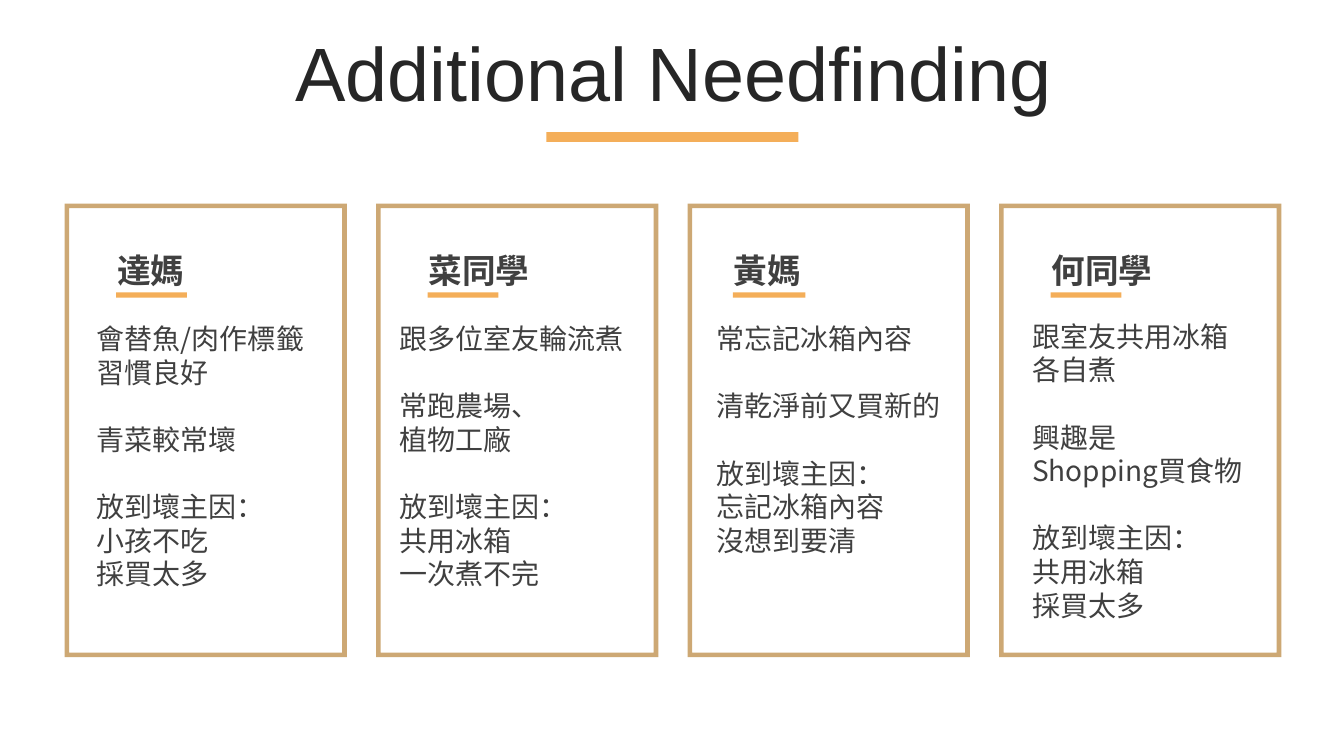
from dataclasses import dataclass

from lxml.etree import SubElement
from pptx import Presentation
from pptx.dml.color import RGBColor
from pptx.enum.shapes import MSO_SHAPE
from pptx.enum.text import MSO_ANCHOR, PP_ALIGN
from pptx.oxml.ns import qn
from pptx.util import Cm, Pt


@dataclass(frozen=True)
class Theme:
    title_font: str = "Arial"
    card_font: str = "Noto Sans CJK SC"
    title_color: str = "262626"
    text_color: str = "404040"
    accent: str = "F4AE59"
    border: str = "CDA874"
    title_size: int = 54
    name_size: int = 24
    body_size: int = 20
    body_line: int = 24


class SlideBuilder:
    def __init__(self, prs, theme):
        self.theme = theme
        self.s = prs.slides.add_slide(prs.slide_layouts[6])

    def shape(self, kind, box, color):
        sp = self.s.shapes.add_shape(kind, *map(Cm, box))
        sp.shadow.inherit = False
        sp.fill.solid()
        sp.fill.fore_color.rgb = RGBColor.from_string(color)
        sp.line.fill.background()
        return sp

    def bar(self, *box):
        return self.shape(MSO_SHAPE.RECTANGLE, box, self.theme.accent)

    def frame(self, *box):
        sp = self.shape(MSO_SHAPE.FRAME, box, self.theme.border)
        sp.adjustments[0] = 0.016
        return sp

    def text(self, box, groups, font, color, anchor=MSO_ANCHOR.TOP, **para_format):
        """Write groups of lines, one blank line's height apart."""
        tf = self.s.shapes.add_textbox(*map(Cm, box)).text_frame
        tf.word_wrap = True
        tf.vertical_anchor = anchor
        p = None
        for g, lines in enumerate(groups):
            for i, line in enumerate(lines):
                p = tf.add_paragraph() if p is not None else tf.paragraphs[0]
                for key, value in para_format.items():
                    setattr(p, key, value)
                if g and i == 0:
                    p.space_before = Pt(self.theme.body_line)
                r = p.add_run()
                r.text = line
                for key, value in font.items():
                    setattr(r.font, key, value)
                r.font.color.rgb = RGBColor.from_string(color)
                SubElement(r.font._element, qn("a:ea"), typeface=font["name"])

    def title(self, text):
        t = self.theme
        self.text((0.89, 0.94, 32.16, 2.01), [[text]],
                  {"name": t.title_font, "size": Pt(t.title_size)},
                  t.title_color, MSO_ANCHOR.MIDDLE,
                  alignment=PP_ALIGN.CENTER, line_spacing=0.9)
        self.bar(13.77, 3.33, 6.35, 0.25)

    def card(self, left, name, name_dx, bar_width, body_box, groups):
        t = self.theme
        self.frame(left, 5.13, 7.11, 11.43)
        # Name and its underline
        self.text((left + name_dx, 6.35, 5.0, 0.89), [[name]],
                  {"name": t.card_font, "size": Pt(t.name_size), "bold": True},
                  t.text_color, MSO_ANCHOR.MIDDLE)
        self.bar(left + name_dx + 0.23, 7.37, bar_width, 0.13)
        # Findings
        dx, top, width, height = body_box
        self.text((left + dx, top, width, height), groups,
                  {"name": t.card_font, "size": Pt(t.body_size)},
                  t.text_color, line_spacing=Pt(t.body_line))


# Name, name offset, underline width, findings box (offset, top, width, height), findings
CARDS = [
    ("達媽", 1.07, 1.78, (0.56, 7.98, 6.02, 7.09),
     [["會替魚/肉作標籤習慣良好"], ["青菜較常壞"],
      ["放到壞主因：", "小孩不吃", "採買太多"]]),
    ("菜同學", 1.07, 1.78, (0.33, 7.98, 6.48, 7.09),
     [["跟多位室友輪流煮"], ["常跑農場、", "植物工廠"],
      ["放到壞主因：", "共用冰箱", "一次煮不完"]]),
    ("黃媽", 0.91, 1.83, (0.48, 7.98, 6.2, 6.25),
     [["常忘記冰箱內容"], ["清乾淨前又買新的"],
      ["放到壞主因：", "忘記冰箱內容", "沒想到要清"]]),
    ("何同學", 1.07, 1.78, (0.58, 7.92, 5.99, 7.95),
     [["跟室友共用冰箱", "各自煮"], ["興趣是", "Shopping買食物"],
      ["放到壞主因：", "共用冰箱", "採買太多"]]),
]
FIRST_LEFT, PITCH = 1.63, 7.85


def main():
    prs = Presentation()
    prs.slide_width, prs.slide_height = Cm(33.87), Cm(19.05)
    builder = SlideBuilder(prs, Theme())
    builder.title("Additional Needfinding")
    for i, card in enumerate(CARDS):
        builder.card(FIRST_LEFT + i * PITCH, *card)
    prs.save("out.pptx")


if __name__ == "__main__":
    main()
